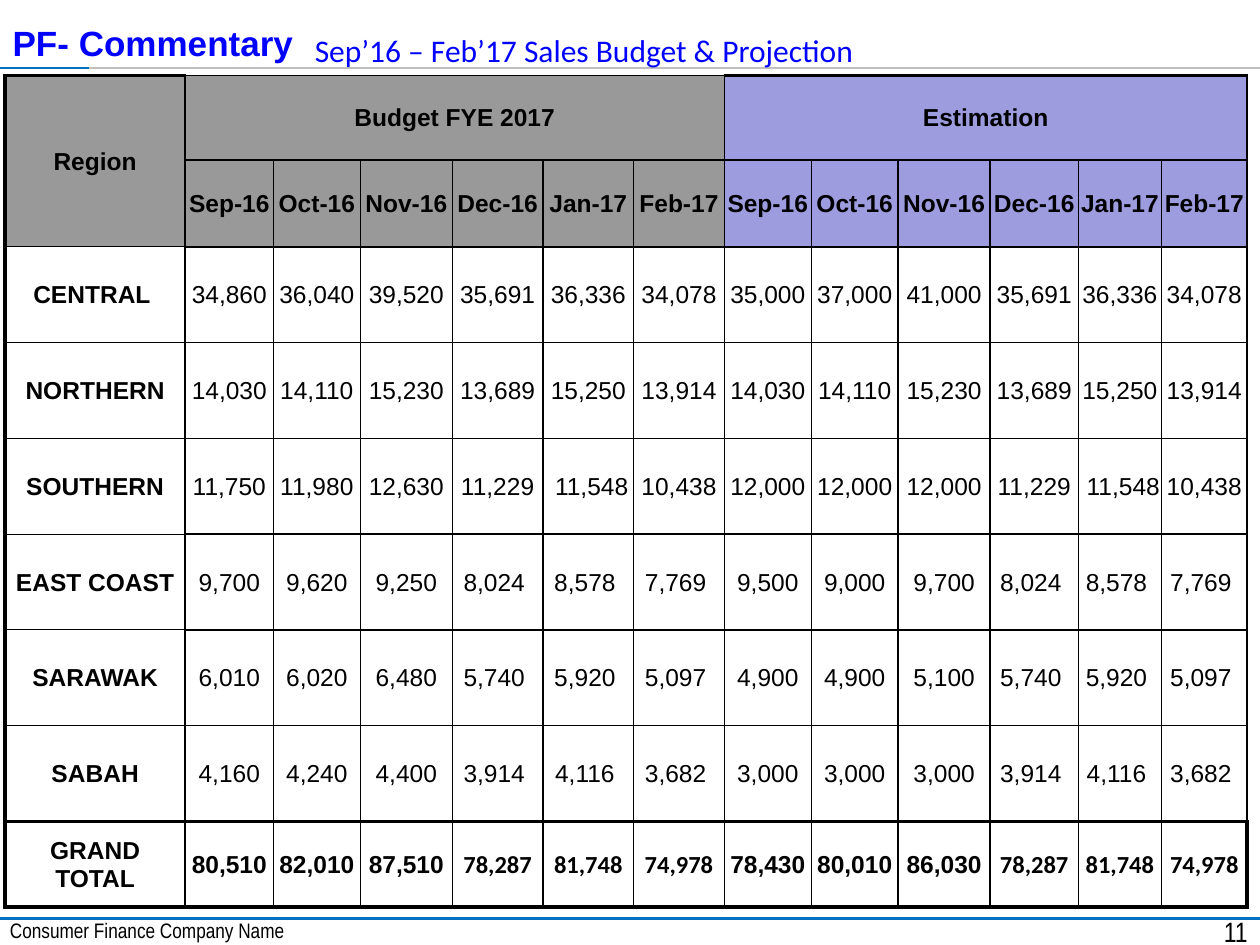
from lxml import etree
from pptx import Presentation
from pptx.dml.color import RGBColor
from pptx.enum.shapes import MSO_CONNECTOR
from pptx.enum.text import MSO_ANCHOR, MSO_AUTO_SIZE, PP_ALIGN
from pptx.oxml.ns import qn
from pptx.util import Inches, Pt

STRAIGHT = MSO_CONNECTOR.STRAIGHT
MIDDLE = MSO_ANCHOR.MIDDLE
NO_FIT = MSO_AUTO_SIZE.NONE
LEFT, CENTER, RIGHT = PP_ALIGN.LEFT, PP_ALIGN.CENTER, PP_ALIGN.RIGHT

COLOURS = {
    "black": "000000",
    "title": "0000FF",
    "accent": "0070C0",
    "rule": "BFBFBF",
    "budget": "999999",
    "estimate": "9C9CDF",
}
COLUMN_WIDTHS = [1.43, 0.7, 0.69, 0.73, 0.72, 0.72, 0.72,
                 0.69, 0.69, 0.73, 0.7, 0.66, 0.68]
ROW_HEIGHTS = [0.67, 0.69] + [0.76] * 6 + [0.68]
MONTHS = ["Sep-16", "Oct-16", "Nov-16", "Dec-16", "Jan-17", "Feb-17"]
REGIONS = [
    ("CENTRAL ", ["34,860", "36,040", "39,520"],
     ["35,000", "37,000", "41,000"], ["35,691", "36,336", "34,078"]),
    ("NORTHERN", ["14,030", "14,110", "15,230"],
     ["14,030", "14,110", "15,230"], ["13,689", "15,250", "13,914"]),
    ("SOUTHERN", ["11,750", "11,980", "12,630"],
     ["12,000", "12,000", "12,000"], ["11,229", " 11,548", "10,438"]),
    ("EAST COAST", ["9,700", "9,620", "9,250"],
     ["9,500", "9,000", "9,700"], ["8,024 ", "8,578 ", "7,769 "]),
    ("SARAWAK", ["6,010", "6,020", "6,480"],
     ["4,900", "4,900", "5,100"], ["5,740 ", "5,920 ", "5,097 "]),
    ("SABAH", ["4,160", "4,240", "4,400"],
     ["3,000", "3,000", "3,000"], ["3,914 ", "4,116 ", "3,682 "]),
    ("GRAND TOTAL", ["80,510", "82,010", "87,510"],
     ["78,430", "80,010", "86,030"], ["78,287", "81,748", "74,978"]),
]
LAST_ROW = len(ROW_HEIGHTS) - 1
LAST_COLUMN = len(COLUMN_WIDTHS) - 1
FIRST_ESTIMATE = 1 + len(MONTHS)


def write_text(frame, text, size=14, font="Arial", colour="black",
               bold=False, align=LEFT):
    para = frame.paragraphs[0]
    para.alignment = align
    span = para.add_run()
    span.text = text
    span.font.size = Pt(size)
    span.font.name = font
    span.font.bold = bold
    span.font.color.rgb = RGBColor.from_string(COLOURS[colour])


def add_text(page, text, left, top, width, height, wrap=True, **text_format):
    box = page.shapes.add_textbox(Inches(left), Inches(top),
                                  Inches(width), Inches(height))
    box.text_frame.word_wrap = wrap
    write_text(box.text_frame, text, **text_format)


def add_rule(page, left, right, height, colour):
    rule = page.shapes.add_connector(STRAIGHT, Inches(left), Inches(height),
                                     Inches(right), Inches(height))
    rule.line.color.rgb = RGBColor.from_string(COLOURS[colour])
    rule.line.width = Pt(1.5)
    etree.SubElement(rule._element.spPr, qn("a:effectLst"))


def set_title(page, text):
    title = page.shapes.title
    title.left, title.top = Inches(0), Inches(0.19)
    title.width, title.height = Inches(4.8), Inches(0.29)
    title.text_frame.auto_size = NO_FIT
    title.text_frame.vertical_anchor = MIDDLE
    write_text(title.text_frame, text, size=20, colour="title", bold=True)


def border_widths(row, column):
    inner = 0.5 if column == 0 else 1
    thick_top = row == LAST_ROW or (
        row == 0 and (column == 0 or column >= FIRST_ESTIMATE))
    thick_right = column == LAST_COLUMN and row in (0, LAST_ROW)
    return {
        "lnL": 2.25 if column == 0 else 1,
        "lnR": 2.25 if thick_right else 1,
        "lnT": 2.25 if thick_top else inner,
        "lnB": 2.25 if row >= LAST_ROW - 1 else inner,
    }


def set_borders(cell, widths):
    properties = cell._tc.get_or_add_tcPr()
    for side, width in widths.items():
        line = etree.SubElement(properties, qn("a:" + side), w=str(Pt(width)))
        fill = etree.SubElement(line, qn("a:solidFill"))
        etree.SubElement(fill, qn("a:srgbClr"), val=COLOURS["black"])


def format_cell(cell, row, column):
    side = Inches(0.04 if column == 0 and row > 1 else 0.01)
    cell.margin_left = cell.margin_right = side
    cell.margin_top, cell.margin_bottom = Inches(0.01), 0
    cell.vertical_anchor = MIDDLE
    set_borders(cell, border_widths(row, column))
    if row > 1:
        cell.fill.background()
    else:
        colour = "estimate" if column >= FIRST_ESTIMATE else "budget"
        cell.fill.solid()
        cell.fill.fore_color.rgb = RGBColor.from_string(COLOURS[colour])


def table_rows():
    gaps = [""] * (len(MONTHS) - 1)
    rows = [["Region", "Budget FYE 2017", *gaps, "Estimation", *gaps],
            ["", *MONTHS, *MONTHS]]
    for region, budget, estimate, later in REGIONS:
        rows.append([region, *budget, *later, *estimate, *later])
    return rows


def add_sales_table(page):
    frame = page.shapes.add_table(
        len(ROW_HEIGHTS), len(COLUMN_WIDTHS), Inches(0.04), Inches(0.6),
        Inches(sum(COLUMN_WIDTHS)), Inches(sum(ROW_HEIGHTS)))
    table = frame.table
    table.first_row = table.horz_banding = False
    for column, width in zip(table.columns, COLUMN_WIDTHS):
        column.width = Inches(width)
    for row, height in zip(table.rows, ROW_HEIGHTS):
        row.height = Inches(height)
    for row, texts in enumerate(table_rows()):
        for column, text in enumerate(texts):
            cell = table.cell(row, column)
            format_cell(cell, row, column)
            if text:
                later_total = row == LAST_ROW and column in (4, 5, 6, 10, 11, 12)
                write_text(cell.text_frame, text, align=CENTER,
                           font="Calibri" if later_total else "Arial",
                           bold=row in (0, 1, LAST_ROW) or column == 0)
    table.cell(0, 0).merge(table.cell(1, 0))
    for first in (1, FIRST_ESTIMATE):
        table.cell(0, first).merge(table.cell(0, first + len(MONTHS) - 1))


def main():
    deck = Presentation()
    deck.slide_width, deck.slide_height = Inches(10), Inches(7.5)
    page = deck.slides.add_slide(deck.slide_layouts[5])
    add_rule(page, 0, 10, 7.29, "accent")
    add_text(page, "Consumer Finance Company Name", -0.02, 7.23, 2.92, 0.52,
             size=12, font="Arial Narrow")
    add_text(page, "11", 9.56, 7.21, 0.44, 0.52,
             size=16, font="Arial Narrow", align=RIGHT)
    add_rule(page, 0.01, 10.01, 0.54, "rule")
    add_rule(page, 0, 0.71, 0.54, "accent")
    set_title(page, "PF- Commentary")
    add_sales_table(page)
    add_text(page, "Sep’16 – Feb’17 Sales Budget & Projection",
             2.4, 0.2, 4.53, 0.4, wrap=False,
             size=18, font="Calibri", colour="title")
    deck.save("out.pptx")


main()
